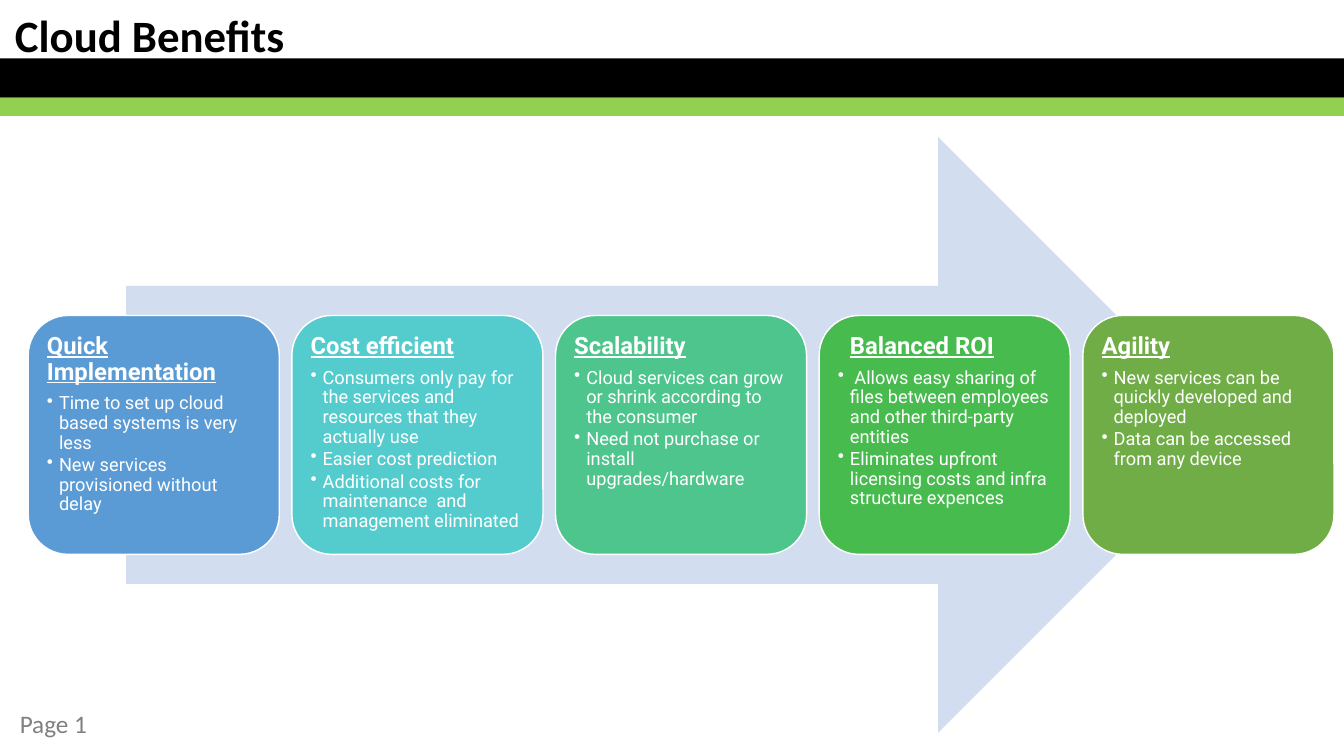
from lxml.etree import SubElement
from pptx import Presentation
from pptx.dml.color import RGBColor
from pptx.enum.shapes import MSO_SHAPE
from pptx.enum.text import MSO_ANCHOR, PP_ALIGN
from pptx.oxml.ns import qn
from pptx.util import Inches, Pt

COLORS = {
    "black": "000000", "white": "FFFFFF", "green": "92D050", "gray": "808080",
    "arrow": "D2DEEF", "quick": "5B9BD5", "cost": "54CCCD",
    "scale": "4DC58D", "roi": "48BB4F", "agile": "70AD47",
}
HEADING = {"size": Pt(17), "name": "Roboto", "bold": True, "underline": True}
BULLET = {"size": Pt(13), "name": "Roboto", "bold": False, "underline": False}
TITLE = {"size": Pt(32), "name": "Calibri", "bold": True}
PAGE = {"size": Pt(18), "name": "Calibri"}
HEADING_SPACING = {"line_spacing": 0.9, "space_after": Pt(6)}
BULLET_SPACING = {"line_spacing": 0.9, "space_after": Pt(2), "level": 1}

BENEFITS = [
    ("quick", "Quick Implementation", 0, [
        "Time to set up cloud based systems is very less",
        "New services provisioned without delay"]),
    ("cost", "Cost efficient", 0, [
        "Consumers only pay for the services and resources that they actually use",
        "Easier cost prediction",
        "Additional costs for maintenance  and management eliminated"]),
    ("scale", "Scalability", 0, [
        "Cloud services can grow or shrink according to the consumer",
        "Need not purchase or install upgrades/hardware"]),
    ("roi", "Balanced ROI", 0.12, [
        " Allows easy sharing of files between employees and other third-party entities",
        "Eliminates upfront licensing costs and infra structure expences"]),
    ("agile", "Agility", 0, [
        "New services can be quickly developed and deployed",
        "Data can be accessed from any device"]),
]


def apply(target, values):
    """Set every attribute in values on target."""
    for key, value in values.items():
        setattr(target, key, value)


def add_block(slide, preset, left, top, width, height, color):
    """Add a filled shape without outline or shadow."""
    block = slide.shapes.add_shape(
        preset, Inches(left), Inches(top), Inches(width), Inches(height))
    block.shadow.inherit = False
    block.fill.solid()
    block.fill.fore_color.rgb = RGBColor.from_string(COLORS[color])
    block.line.fill.background()
    return block


def write(paragraph, text, font, color, spacing):
    """Write one formatted run into a paragraph."""
    run = paragraph.add_run()
    run.text = text
    apply(run.font, font)
    run.font.color.rgb = RGBColor.from_string(COLORS[color])
    apply(paragraph, spacing)


def indent(paragraph, margin, first_line=0):
    """Set the left margin and first-line indent of a paragraph."""
    properties = paragraph._p.get_or_add_pPr()
    properties.set("marL", str(Inches(margin)))
    properties.set("indent", str(Inches(first_line)))
    return properties


def add_label(slide, left, top, width, height, text, font, color, spacing):
    """Add a one-line text box."""
    label = slide.shapes.add_textbox(
        Inches(left), Inches(top), Inches(width), Inches(height))
    label.text_frame.word_wrap = True
    write(label.text_frame.paragraphs[0], text, font, color, spacing)


def add_header(slide, left, top, width):
    """Draw the title above its black and green bands."""
    add_block(slide, MSO_SHAPE.RECTANGLE, left, top + 0.58, width, 0.39, "black")
    add_block(slide, MSO_SHAPE.RECTANGLE, left, top + 0.97, width, 0.18, "green")
    add_label(slide, left + 0.05, top + 0.03, 5.21, 0.64,
              "Cloud Benefits", TITLE, "black", {})


def add_card(slide, left, top, width, height, benefit):
    """Draw one rounded card with its heading and bullets."""
    color, heading, heading_indent, points = benefit
    card = add_block(slide, MSO_SHAPE.ROUNDED_RECTANGLE,
                     left, top, width, height, color)
    card.line.color.rgb = RGBColor.from_string(COLORS["white"])
    card.line.width = Pt(1)
    frame = card.text_frame
    margin = Inches(0.07)
    apply(frame, {"word_wrap": True, "vertical_anchor": MSO_ANCHOR.TOP,
                  "margin_left": margin, "margin_right": margin,
                  "margin_top": margin, "margin_bottom": margin})
    title = frame.paragraphs[0]
    title.alignment = PP_ALIGN.LEFT
    write(title, heading, HEADING, "white", HEADING_SPACING)
    indent(title, heading_indent)
    for point in points:
        paragraph = frame.add_paragraph()
        paragraph.alignment = PP_ALIGN.LEFT
        write(paragraph, point, BULLET, "white", BULLET_SPACING)
        properties = indent(paragraph, 0.12, -0.12)
        SubElement(properties, qn("a:buChar")).set("char", "•")


def add_benefits(slide, left, top, width, height):
    """Draw the arrow and spread the cards evenly across it."""
    add_block(slide, MSO_SHAPE.RIGHT_ARROW,
              left + 0.97, top, 11.01, height, "arrow")
    card_width, card_height = 2.49, 2.37
    pitch = (width - card_width) / (len(BENEFITS) - 1)
    card_top = top + (height - card_height) / 2
    for index, benefit in enumerate(BENEFITS):
        add_card(slide, left + index * pitch, card_top,
                 card_width, card_height, benefit)


def main():
    """Build and save the slide."""
    deck = Presentation()
    apply(deck, {"slide_width": Inches(13.33), "slide_height": Inches(7.5)})
    slide = deck.slides.add_slide(deck.slide_layouts[6])
    add_label(slide, 0.01, 7.01, 1.04, 0.44, "Page 1", PAGE, "gray",
              {"alignment": PP_ALIGN.CENTER, "line_spacing": 0.9})
    add_header(slide, 0, 0, 13.33)
    add_benefits(slide, 0.28, 1.36, 12.95, 5.91)
    deck.save("out.pptx")


if __name__ == "__main__":
    main()
